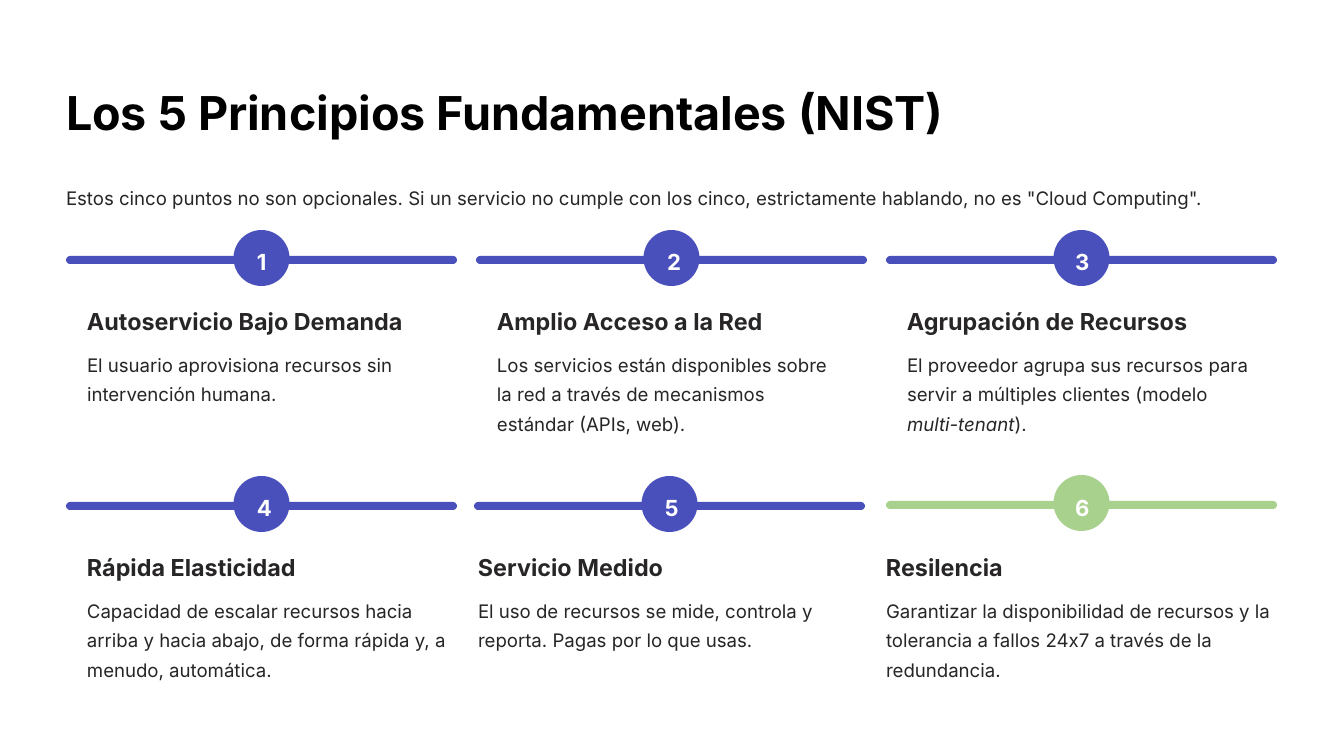
from pptx import Presentation
from pptx.dml.color import RGBColor
from pptx.enum.shapes import MSO_SHAPE as Shape
from pptx.util import Emu, Pt

BLUE = RGBColor(0x49, 0x50, 0xBC)
GREEN = RGBColor(0xA9, 0xD1, 0x8E)
INK = RGBColor(0x27, 0x25, 0x25)
BLACK = RGBColor(0, 0, 0)
WHITE = RGBColor(255, 255, 255)
FONT = "Inter"

TITLE = "Los 5 Principios Fundamentales (NIST)"
INTRO = ('Estos cinco puntos no son opcionales. Si un servicio no cumple con los '
         'cinco, estrictamente hablando, no es "Cloud Computing".')
# heading, body runs, colour, bar shift (x, y), text inset, text width
ITEMS = [
    ("Autoservicio Bajo Demanda",
     ["El usuario aprovisiona recursos sin intervención humana."],
     BLUE, (0, 0), 21, 349),
    ("Amplio Acceso a la Red",
     ["Los servicios están disponibles sobre la red a través de mecanismos "
      "estándar (APIs, web)."],
     BLUE, (0, 0), 21, 349),
    ("Agrupación de Recursos",
     ["El proveedor agrupa sus recursos para servir a múltiples clientes (modelo ",
      "multi-tenant", ")."],
     BLUE, (0, 0), 21, 349),
    ("Rápida Elasticidad",
     ["Capacidad de escalar recursos hacia arriba y hacia abajo, de forma rápida "
      "y, a menudo, automática."],
     BLUE, (0, 0), 21, 370),
    ("Servicio Medido",
     ["El uso de recursos se mide, controla y reporta. Pagas por lo que usas."],
     BLUE, (-2, 0), 2, 390),
    ("Resilencia",
     ["Garantizar la disponibilidad de recursos y la tolerancia a fallos 24x7 a "
      "través de la redundancia."],
     GREEN, (0, -1), 0, 390),
]
ITALIC = {"multi-tenant"}
COLS = 3
LEFT, TOP = 66, 256
STEP_X, STEP_Y = 410, 246
BAR_W, BAR_H, DISC = 391, 8, 56


def px(n):
    return Emu(round(n * 914400 / 84))


deck = Presentation()
deck.slide_width, deck.slide_height = px(1344), px(756)
slide = deck.slides.add_slide(deck.slide_layouts[6])


def add_text(runs, x, y, w, h, size, lead, color, bold=False):
    box = slide.shapes.add_textbox(px(x), px(y), px(w), px(h))
    frame = box.text_frame
    frame.word_wrap = True
    frame.margin_left = frame.margin_right = 0
    frame.margin_top = frame.margin_bottom = 0
    para = frame.paragraphs[0]
    para.line_spacing = Pt(lead)
    for text in runs:
        run = para.add_run()
        run.text = text
        font = run.font
        font.name, font.size, font.bold = FONT, Pt(size), bold
        font.italic = text in ITALIC
        font.color.rgb = color


def add_round(x, y, w, h, color):
    """Add a rectangle with fully rounded ends."""
    shape = slide.shapes.add_shape(Shape.ROUNDED_RECTANGLE, px(x), px(y), px(w), px(h))
    shape.adjustments[0] = 0.5
    shape.shadow.inherit = False
    shape.fill.solid()
    shape.fill.fore_color.rgb = color
    shape.line.fill.background()


add_text([TITLE], LEFT, 82, 887, 59, 40, 50, BLACK, True)
add_text([INTRO], LEFT, 179, 1212, 30, 16, 25.5, INK)

for i, (head, body, color, (dx, dy), inset, width) in enumerate(ITEMS):
    row, col = divmod(i, COLS)
    x, y = LEFT + col * STEP_X, TOP + row * STEP_Y
    bar_x, bar_y = x + dx, y + dy
    num_x = bar_x + (191 if col < 2 else 189)
    add_round(bar_x, bar_y, BAR_W, BAR_H, color)
    add_round(bar_x + (BAR_W - DISC) / 2, bar_y - 26, DISC, DISC, color)
    add_text([str(i + 1)], num_x, y - 17, 23, 29, 19, 30.5, WHITE, True)
    add_text([head], x + inset, y + 50, 320, 29, 20, 25, INK, True)
    add_text(body, x + inset, y + 90, width, 90, 16, 25.5, INK)

deck.save("out.pptx")
